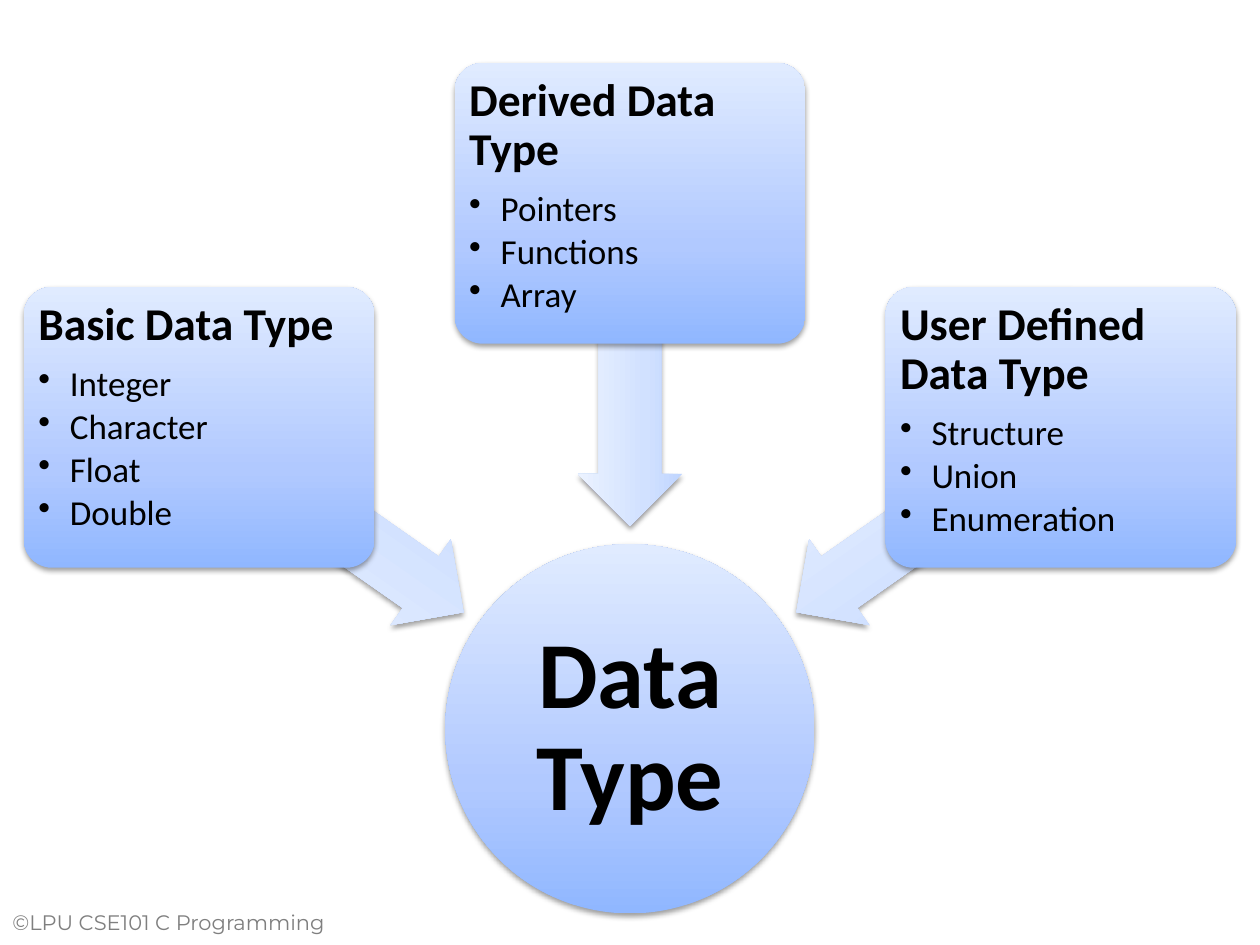
from pptx import Presentation
from pptx.dml.color import RGBColor
from pptx.enum.shapes import MSO_SHAPE
from pptx.enum.text import MSO_ANCHOR, PP_ALIGN
from pptx.oxml import parse_xml
from pptx.oxml.ns import nsdecls
from pptx.util import Pt

ELLIPSE, CARD, ARROW = MSO_SHAPE.OVAL, MSO_SHAPE.ROUNDED_RECTANGLE, MSO_SHAPE.LEFT_ARROW
TOP, MIDDLE = MSO_ANCHOR.TOP, MSO_ANCHOR.MIDDLE
LEFT, CENTER = PP_ALIGN.LEFT, PP_ALIGN.CENTER

COLORS = {"text": "000000", "footer": "7F7F7F", "shadow": "000000"}
GRADIENTS = {
    "node": ("90B7FF", "B1C9FF", "E0EBFF"),
    "arrow": ("C0D5FF", "D1E1FF", "EBF2FF"),
}
STOPS = (0, 35000, 100000)

SLIDE_W, SLIDE_H = 720, 540
CARD_W, CARD_H, CARD_PITCH = 200.3, 160.4, 246.2
ARROW_W, ARROW_H = 184.3, 59.8
CIRCLE = 211

BRANCHES = [
    ("Basic Data Type", ["Integer", "Character", "Float", "Double"], 164, 297, 215),
    ("Derived Data Type", ["Pointers", "Functions", "Array"], 36, 208.5, 270),
    ("User Defined Data Type", ["Structure", "Union", "Enumeration"], 164, 297, 325),
]


def add_gradient_shape(slide, kind, box, gradient):
    """Add a preset shape with a vertical gradient and a soft shadow."""
    sp = slide.shapes.add_shape(kind, *(Pt(v) for v in box))
    sp.line.fill.background()
    sp.shadow.inherit = False
    stops = "".join(
        f'<a:gs pos="{pos}"><a:srgbClr val="{color}"/></a:gs>'
        for pos, color in zip(STOPS, GRADIENTS[gradient])
    )
    props = sp._element.spPr
    props.prstGeom.addnext(parse_xml(
        f'<a:gradFill {nsdecls("a")} rotWithShape="1"><a:gsLst>{stops}</a:gsLst>'
        '<a:lin ang="16200000" scaled="0"/></a:gradFill>'
    ))
    props.find(".//{*}effectLst").append(parse_xml(
        f'<a:outerShdw {nsdecls("a")} blurRad="{Pt(3.1)}" dist="{Pt(1.6)}" '
        f'dir="5400000" rotWithShape="0"><a:srgbClr val="{COLORS["shadow"]}">'
        '<a:alpha val="38000"/></a:srgbClr></a:outerShdw>'
    ))
    return sp


def set_frame(tf, anchor, inset_x, inset_y):
    """Set wrapping, anchor and insets of a text frame."""
    tf.word_wrap = True
    tf.vertical_anchor = anchor
    tf.margin_left = tf.margin_right = Pt(inset_x)
    tf.margin_top = tf.margin_bottom = Pt(inset_y)


def add_run(p, text, size, color="text", bold=False, font="Calibri"):
    """Add one formatted run to a paragraph."""
    r = p.add_run()
    r.text = text
    r.font.name = font
    r.font.size = Pt(size)
    r.font.bold = bold
    r.font.color.rgb = RGBColor.from_string(COLORS[color])


def add_bullet(p):
    """Give a paragraph a round bullet with a hanging indent."""
    pPr = p._p.get_or_add_pPr()
    pPr.set("marL", str(Pt(18)))
    pPr.set("indent", str(Pt(-18)))
    pPr.append(parse_xml(f'<a:buChar {nsdecls("a")} char="•"/>'))


def add_card(slide, box, title, items):
    """Add a rounded card with a bold title and a bulleted list."""
    tf = add_gradient_shape(slide, CARD, box, "node")
    tf.adjustments[0] = 0.1
    tf = tf.text_frame
    set_frame(tf, TOP, 3.6, 3.6)
    p = tf.paragraphs[0]
    p.alignment = LEFT
    p.line_spacing = 0.9
    add_run(p, title, 26, bold=True)
    for i, item in enumerate(items):
        p = tf.add_paragraph()
        add_bullet(p)
        p.level = 1
        p.alignment = LEFT
        p.line_spacing = 0.9
        p.space_before = Pt(3 if i else 9.1)
        add_run(p, item, 20)


def add_arrow(slide, box, rotation):
    """Add a rotated block arrow."""
    sp = add_gradient_shape(slide, ARROW, box, "arrow")
    sp.adjustments[0] = 0.6
    sp.adjustments[1] = 0.5
    sp.rotation = rotation


def add_hub(slide, box, text):
    """Add the central circle with its label."""
    tf = add_gradient_shape(slide, ELLIPSE, box, "node").text_frame
    set_frame(tf, MIDDLE, 2.7, 2.7)
    p = tf.paragraphs[0]
    p.alignment = CENTER
    p.line_spacing = 0.9
    add_run(p, text, 54, bold=True)


def add_footer(slide, box, text):
    """Add the copyright line."""
    tf = slide.shapes.add_textbox(*(Pt(v) for v in box)).text_frame
    set_frame(tf, TOP, 7.2, 3.6)
    add_run(tf.paragraphs[0], text, 12, "footer", font="Montserrat")


def add_diagram(slide, box):
    """Add the hub and its three branches inside a box."""
    left, top, width, height = box
    center = left + width / 2
    add_hub(slide, (center - CIRCLE / 2, top + 311, CIRCLE, CIRCLE), "Data Type")
    for i, (title, items, card_y, arrow_y, rotation) in enumerate(BRANCHES):
        arrow_x = center + (i - 1) * 170.6 - ARROW_W / 2
        card_x = center + (i - 1) * CARD_PITCH - CARD_W / 2
        add_arrow(slide, (arrow_x, top + arrow_y - ARROW_H / 2, ARROW_W, ARROW_H), rotation)
        add_card(slide, (card_x, top + card_y, CARD_W, CARD_H), title, items)


def main():
    """Build and save the slide."""
    prs = Presentation()
    prs.slide_width, prs.slide_height = Pt(SLIDE_W), Pt(SLIDE_H)
    slide = prs.slides.add_slide(prs.slide_layouts[6])
    add_footer(slide, (0, 516, 216, 30), "©LPU CSE101 C Programming")
    add_diagram(slide, (0, 0, SLIDE_W, SLIDE_H))
    prs.save("out.pptx")


if __name__ == "__main__":
    main()
